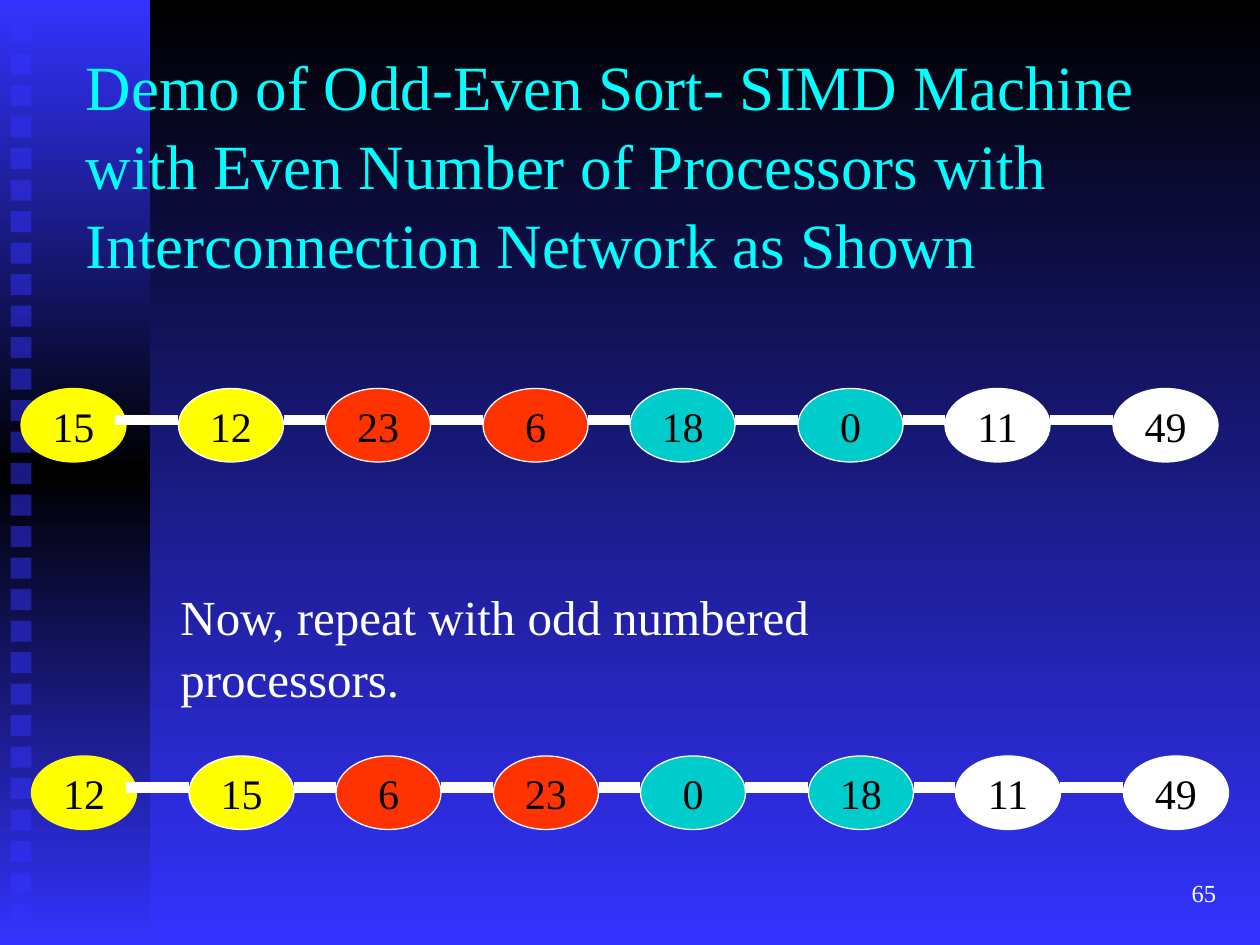
from copy import deepcopy

from lxml import etree
from pptx import Presentation
from pptx.dml.color import RGBColor
from pptx.enum.shapes import MSO_CONNECTOR, MSO_SHAPE
from pptx.enum.text import MSO_ANCHOR, PP_ALIGN
from pptx.oxml.ns import qn
from pptx.util import Pt

RECT, OVAL = MSO_SHAPE.RECTANGLE, MSO_SHAPE.OVAL
LINE = MSO_CONNECTOR.STRAIGHT
TOP, MIDDLE = MSO_ANCHOR.TOP, MSO_ANCHOR.MIDDLE
LEFT, CENTER, RIGHT = PP_ALIGN.LEFT, PP_ALIGN.CENTER, PP_ALIGN.RIGHT

FONT = "Times New Roman"
COLORS = {
    "black": "000000",
    "blue": "3333FF",
    "cyan": "00FFFF",
    "white": "FFFFFF",
    "yellow": "FFFF00",
    "red": "FF3300",
    "teal": "00CCCC",
}
PAIRS = ("yellow", "red", "teal", "white")
NODE_LEFTS = (12, 102, 186, 276, 360, 456, 540, 636)
NODE_W, NODE_H = 60, 42
LINK_DROP = 18
OVERLAP = 6


def color(name):
    return RGBColor.from_string(COLORS[name])


def shade(fill, names):
    """Spread the named colours evenly from top to bottom."""
    fill.gradient_angle = 270
    for i, (stop, name) in enumerate(zip(fill.gradient_stops, names)):
        stop.position = i / (len(names) - 1)
        stop.color.rgb = color(name)


def add_shape(slide, kind, x, y, w, h):
    shape = slide.shapes.add_shape(kind, Pt(x), Pt(y), Pt(w), Pt(h))
    shape.shadow.inherit = False
    return shape


def write(shape, text, size, ink, align=LEFT, anchor=MIDDLE, wrap=True,
          spacing=None):
    frame = shape.text_frame
    frame.word_wrap = wrap
    frame.vertical_anchor = anchor
    para = frame.paragraphs[0]
    para.text = text
    para.alignment = align
    para.line_spacing = spacing
    para.font.color.rgb = color(ink)
    for key, value in {"name": FONT, "size": Pt(size)}.items():
        setattr(para.font, key, value)


def add_text(slide, box, *args, **style):
    shape = slide.shapes.add_textbox(*map(Pt, box))
    write(shape, *args, **style)


def add_panel(slide):
    """Draw the shaded side band and its column of squares."""
    band = add_shape(slide, RECT, 0, 0, 85.7, 540)
    band.line.fill.background()
    band.fill.gradient()
    stops = band._element.spPr.find(".//" + qn("a:gsLst"))
    stops.append(deepcopy(stops[-1]))
    shade(band.fill, ("blue", "black", "blue"))

    for i in range(29):
        square = add_shape(slide, RECT, 6, 12.6 + 18 * i, 12, 12)
        square.line.fill.background()
        square.fill.solid()
        square.fill.fore_color.rgb = color("blue")
        tint = square._element.spPr.find(".//" + qn("a:srgbClr"))
        etree.SubElement(tint, qn("a:alpha"), val="50000")


def add_node(slide, x, y, value, fill, edge):
    node = add_shape(slide, OVAL, x, y, NODE_W, NODE_H)
    node.fill.solid()
    node.fill.fore_color.rgb = color(fill)
    node.line.color.rgb = color(edge)
    node.line.width = Pt(0.75)
    write(node, str(value), 24, "black", align=CENTER, wrap=False)


def add_link(slide, start, end, y):
    link = slide.shapes.add_connector(LINK_KIND, Pt(start), Pt(y), Pt(end), Pt(y))
    link.line.color.rgb = color("white")
    link.line.width = Pt(6)
    etree.SubElement(link._element.spPr, qn("a:effectLst"))


LINK_KIND = LINE


def add_chain(slide, shift, y, values):
    """Draw a row of processors, coloured in pairs, and their links."""
    lefts = [x + shift for x in NODE_LEFTS]
    for i, (x, value) in enumerate(zip(lefts, values)):
        edge = "white" if i else "yellow"
        add_node(slide, x, y, value, PAIRS[i // 2], edge)
    for i, (x, after) in enumerate(zip(lefts, lefts[1:])):
        start = x + NODE_W - (0 if i else OVERLAP)
        add_link(slide, start, after, y + LINK_DROP)


def main():
    deck = Presentation()
    deck.slide_width, deck.slide_height = Pt(720), Pt(540)
    slide = deck.slides.add_slide(deck.slide_layouts[6])
    back = slide.background.fill
    back.gradient()
    shade(back, ("black", "blue"))

    add_panel(slide)
    add_text(slide, (42, 48, 660, 90),
             "Demo of Odd-Even Sort- SIMD Machine with Even Number of "
             "Processors with Interconnection Network as Shown",
             36, "cyan", spacing=1.04)
    add_text(slide, (96, 330, 492, 75),
             "Now, repeat with odd numbered processors.",
             28, "white", anchor=TOP, spacing=1.05)
    add_chain(slide, 0, 222, (15, 12, 23, 6, 18, 0, 11, 49))
    add_chain(slide, 6, 432, (12, 15, 6, 23, 0, 18, 11, 49))
    add_text(slide, (552, 492, 150, 36), "65", 14, "white", align=RIGHT)
    deck.save("out.pptx")


if __name__ == "__main__":
    main()
